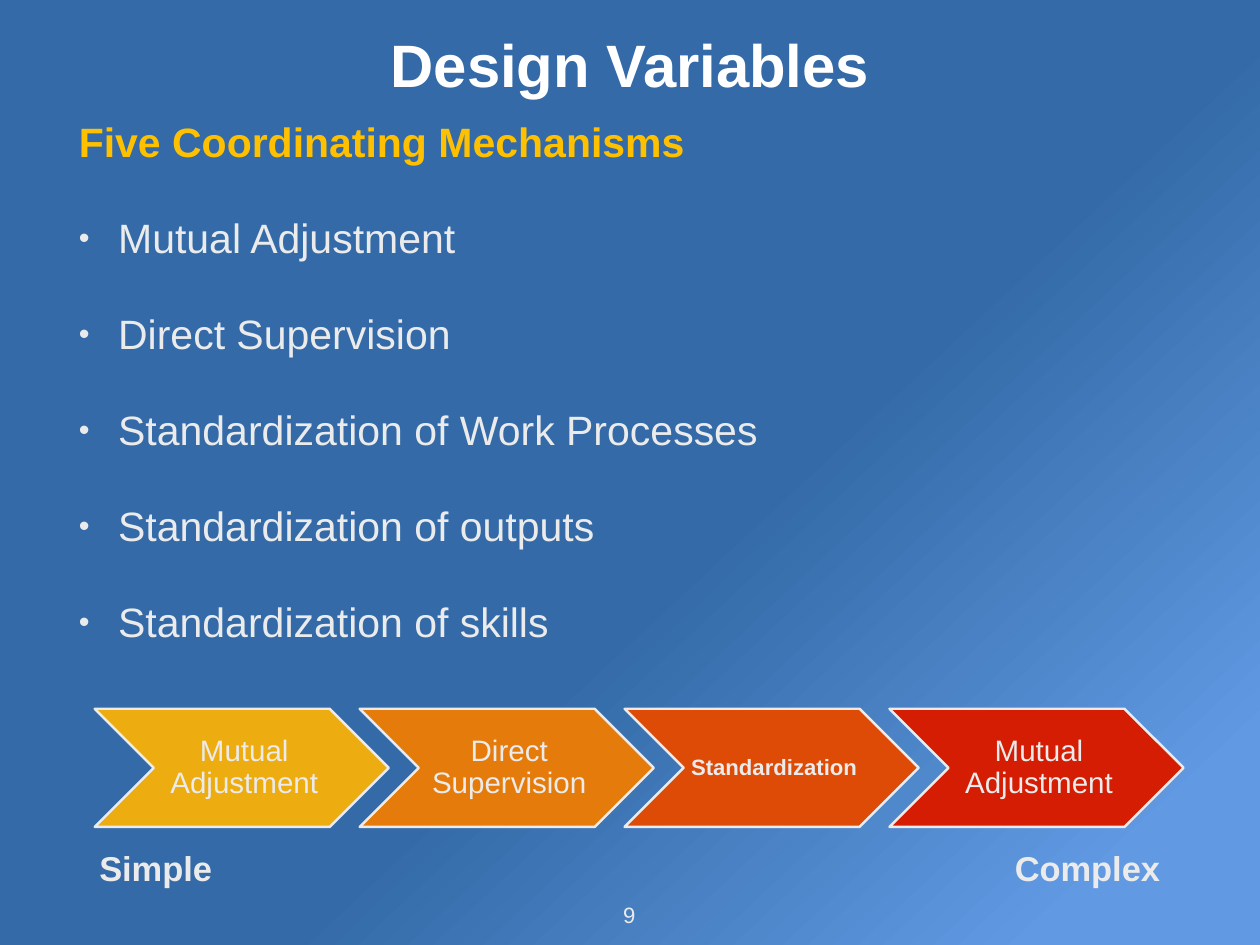
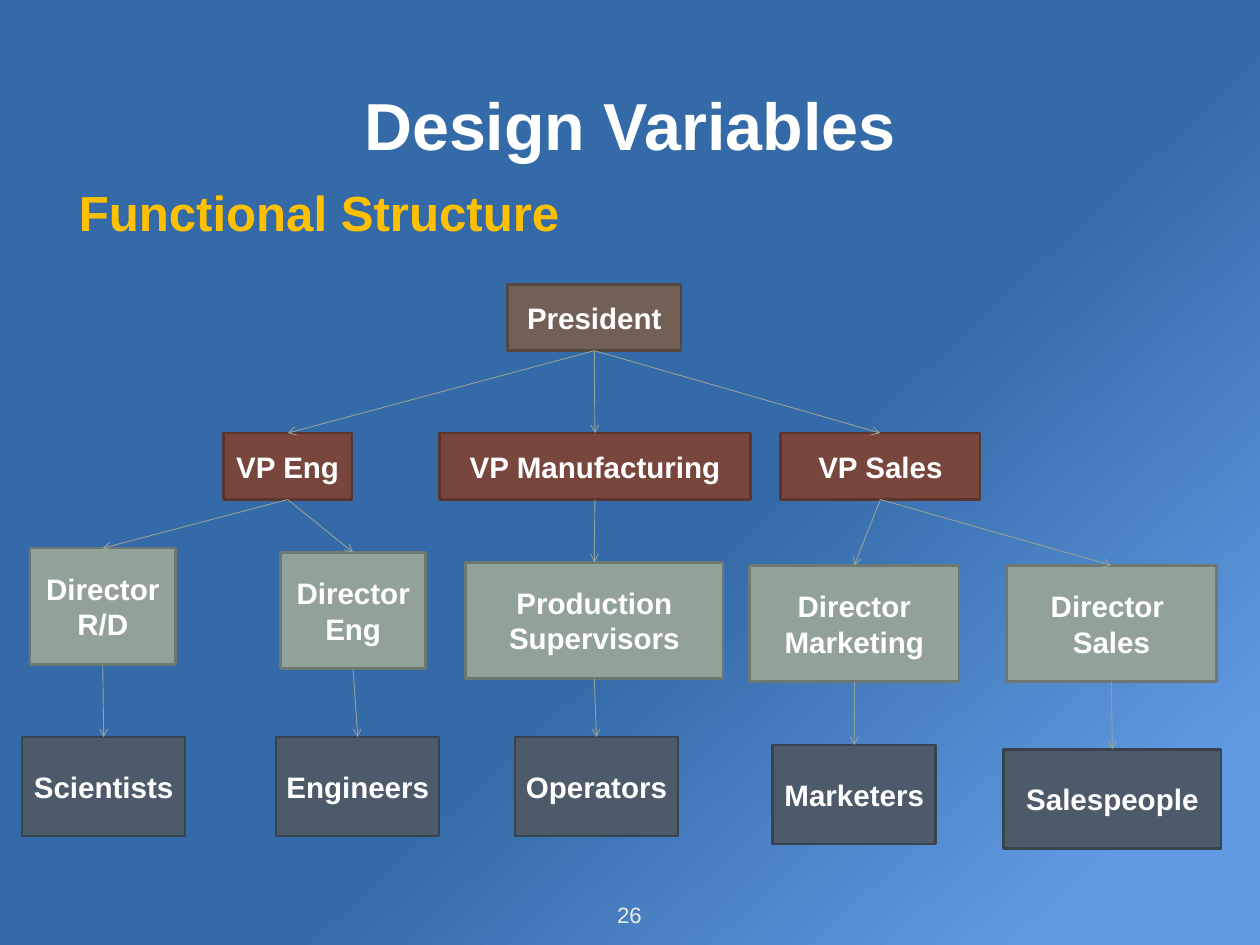
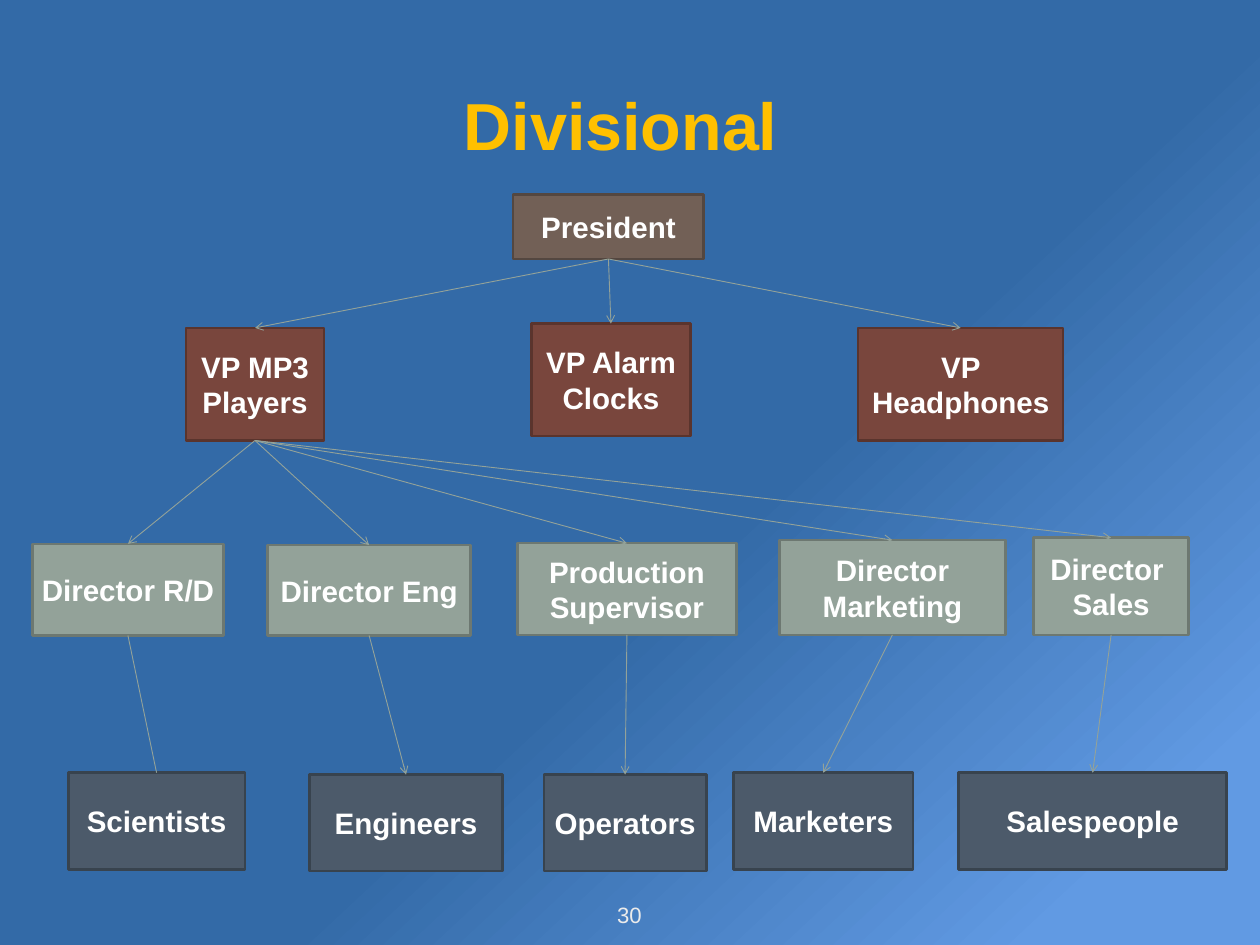
from dataclasses import dataclass

from lxml import etree
from pptx import Presentation
from pptx.dml.color import RGBColor
from pptx.enum.shapes import MSO_CONNECTOR, MSO_SHAPE
from pptx.enum.text import MSO_ANCHOR, MSO_AUTO_SIZE, PP_ALIGN
from pptx.oxml.ns import qn
from pptx.util import Pt

FONT = "Arial"
WHITE, PALE, GOLD = "FFFFFF", "EBEBEB", "FFC000"
DEEP_BLUE, LIGHT_BLUE = "336AA7", "619AE3"
LINK_COLOR = "93A299"
LEVEL_COLORS = [
    ("726056", "544740"),
    ("79463D", "5A342D"),
    ("93A299", "6D7871"),
    ("4C5A6A", "38434E"),
]
MARGIN, CONTENT_WIDTH = 60, 904
INSETS = (4, 4, 4, 4)
BULLET_INDENT = 32


@dataclass
class Step:
    text: str
    color: str
    size: float = 24
    bold: bool = False


@dataclass
class Box:
    """A box of an organisation chart; parent is an index into the level above."""
    text: str
    left: float
    top: float
    width: float
    height: float
    parent: int = 0
    arrowhead: bool = True


MECHANISMS = [
    "Mutual Adjustment",
    "Direct Supervision",
    "Standardization of Work Processes",
    "Standardization of outputs",
    "Standardization of skills",
]

STEPS = [
    Step("Mutual Adjustment", "EDAC0F"),
    Step("Direct Supervision", "E57B0B"),
    Step("Standardization", "DD4B07", 18, True),
    Step("Mutual Adjustment", "D41D03"),
]

FUNCTIONAL = [
    [Box("President", 412.5, 231, 141, 54)],
    [
        Box("VP Eng", 181.5, 352, 104.5, 54),
        Box("VP Manufacturing", 357, 352, 253, 54),
        Box("VP Sales", 634.5, 352, 162, 54),
    ],
    [
        Box("Director R/D", 24.5, 445.5, 118, 94.5, 0),
        Box("Director Eng", 228, 449, 118, 94.5, 0),
        Box("Production Supervisors", 378.5, 457, 209, 94.5, 1),
        Box("Director Marketing", 609, 459.5, 170.5, 94.5, 2),
        Box("Director \nSales", 818, 459.5, 170.5, 94.5, 2),
    ],
    [
        Box("Scientists", 18, 599, 132.5, 80.5, 0),
        Box("Engineers", 224.5, 599, 132.5, 80.5, 1),
        Box("Operators", 418.5, 599, 132.5, 80.5, 2),
        Box("Marketers", 628, 605.5, 132.5, 80.5, 3),
        Box("Salespeople", 815.5, 609, 177, 80.5, 4),
    ],
]

DIVISIONAL = [
    [Box("President", 417, 158, 155, 52.5)],
    [
        Box("VP MP3 Players", 151, 266.5, 112.5, 91.5),
        Box("VP Alarm Clocks", 432, 263, 129, 91.5),
        Box("VP Headphones", 697.5, 266.5, 166.5, 91.5),
    ],
    [
        Box("Director R/D", 26.5, 442, 155, 74.5),
        Box("Director Eng", 217.5, 443, 165, 73.5),
        Box("Production Supervisor", 420.5, 441.5, 178, 74.5),
        Box("Director Marketing", 633.5, 439, 183.5, 77),
        Box("Director \nSales", 840, 437, 126, 79),
    ],
    [
        Box("Scientists", 55.5, 628, 143.5, 78.5, 0, arrowhead=False),
        Box("Engineers", 251.5, 629.5, 157, 78.5, 1),
        Box("Operators", 442, 629.5, 132, 78.5, 2),
        Box("Marketers", 596, 628, 146, 78.5, 3),
        Box("Salespeople", 779, 628, 218, 78.5, 4),
    ],
]


def rgb(color: str) -> RGBColor:
    return RGBColor.from_string(color)


def set_frame(frame, insets=INSETS, wrap=True, anchor=MSO_ANCHOR.MIDDLE) -> None:
    frame.word_wrap = wrap
    frame.vertical_anchor = anchor
    frame.margin_left, frame.margin_top, frame.margin_right, frame.margin_bottom = map(Pt, insets)


def write(frame, text: str, *, size: float, color: str, bold=False, align=PP_ALIGN.CENTER,
          line_spacing=None, space_before: float = 0, bullet=False) -> None:
    """Add one paragraph per line of text, filling the empty first paragraph."""
    for line in text.split("\n"):
        first = frame.paragraphs[0]
        para = frame.add_paragraph() if first.runs else first
        para.alignment = align
        para.space_before = Pt(space_before)
        if line_spacing:
            para.line_spacing = line_spacing
        if bullet:
            add_bullet(para)
        span = para.add_run()
        span.text = line
        span.font.name, span.font.size, span.font.bold = FONT, Pt(size), bold
        span.font.color.rgb = rgb(color)


def add_bullet(para) -> None:
    properties = para._p.get_or_add_pPr()
    properties.set("marL", str(Pt(BULLET_INDENT)))
    properties.set("indent", str(-Pt(BULLET_INDENT)))
    etree.SubElement(properties, qn("a:buSzPct"), val="75000")
    etree.SubElement(properties, qn("a:buFont"), typeface=FONT)
    etree.SubElement(properties, qn("a:buChar"), char="•")


def add_text_box(page, left: float, top: float, width: float, height: float, **frame_format):
    frame = page.shapes.add_textbox(Pt(left), Pt(top), Pt(width), Pt(height)).text_frame
    set_frame(frame, **frame_format)
    return frame


def add_label(page, text: str, left: float, top: float, width: float, height: float,
              size: float, bold=False) -> None:
    """Add a one-line text box that grows with its text."""
    frame = add_text_box(page, left, top, width, height, wrap=False)
    frame.auto_size = MSO_AUTO_SIZE.SHAPE_TO_FIT_TEXT
    write(frame, text, size=size, color=PALE, bold=bold)


def add_filled_shape(page, kind, left: float, top: float, width: float, height: float,
                     fill: str, line: str, line_width: float):
    shape = page.shapes.add_shape(kind, Pt(left), Pt(top), Pt(width), Pt(height))
    shape.shadow.inherit = False
    shape.fill.solid()
    shape.fill.fore_color.rgb = rgb(fill)
    shape.line.color.rgb = rgb(line)
    shape.line.width = Pt(line_width)
    return shape


def add_link(page, parent, child, arrowhead: bool) -> None:
    """Join the bottom of the parent to the top of the child."""
    link = page.shapes.add_connector(MSO_CONNECTOR.STRAIGHT, Pt(0), Pt(0), Pt(0), Pt(0))
    link.begin_connect(parent, 2)
    link.end_connect(child, 0)
    link.line.color.rgb = rgb(LINK_COLOR)
    link.line.width = Pt(0.75)
    properties = link._element.spPr
    if arrowhead:
        etree.SubElement(properties.find(qn("a:ln")), qn("a:tailEnd"), type="arrow")
    etree.SubElement(properties, qn("a:effectLst"))


def add_org_chart(page, levels: list[list[Box]]) -> None:
    parents = []
    for boxes, (fill, line) in zip(levels, LEVEL_COLORS):
        shapes = []
        for box in boxes:
            shape = add_filled_shape(page, MSO_SHAPE.RECTANGLE, box.left, box.top,
                                     box.width, box.height, fill, line, 2.08)
            set_frame(shape.text_frame, insets=(5, 4, 5, 4))
            write(shape.text_frame, box.text, size=24, color=WHITE, bold=True)
            if parents:
                add_link(page, parents[box.parent], shape, box.arrowhead)
            shapes.append(shape)
        parents = shapes


def add_step_chain(page, steps: list[Step]) -> None:
    left, top, width, height, pitch = 77, 576, 239, 96, 215.3
    for index, step in enumerate(steps):
        chevron = add_filled_shape(page, MSO_SHAPE.CHEVRON, left + index * pitch, top,
                                   width, height, step.color, PALE, 2)
        set_frame(chevron.text_frame, insets=(7, 3, 3, 3), wrap=" " in step.text)
        write(chevron.text_frame, step.text, size=step.size, color=PALE,
              bold=step.bold, line_spacing=0.9)


def add_page(deck, title: str, number: int, *, title_height: float = 169,
             title_size: float = 54, title_color: str = WHITE):
    page = deck.slides.add_slide(deck.slide_layouts[6])
    frame = add_text_box(page, MARGIN, 16, CONTENT_WIDTH, title_height)
    write(frame, title, size=title_size, color=title_color, bold=True)
    add_label(page, str(number), 491.5, 729, 40, 29, 18)
    return page


def set_background(master) -> None:
    fill = master.background.fill
    fill.gradient()
    fill.gradient_angle = 313
    stops = [(0.57, DEEP_BLUE), (0.9, LIGHT_BLUE)]
    for stop, (position, color) in zip(fill.gradient_stops, stops):
        stop.position = position
        stop.color.rgb = rgb(color)


def build_mechanisms(deck) -> None:
    page = add_page(deck, "Design Variables", 9, title_height=71, title_size=48.6)
    body = add_text_box(page, MARGIN, 88, CONTENT_WIDTH, 449)
    body_format = dict(size=33.3, align=PP_ALIGN.LEFT, line_spacing=0.9, space_before=42)
    write(body, "Five Coordinating Mechanisms", color=GOLD, bold=True, **body_format)
    write(body, "\n".join(MECHANISMS), color=PALE, bullet=True, **body_format)
    add_step_chain(page, STEPS)
    add_label(page, "Simple", 76, 684, 101, 42, 28, bold=True)
    add_label(page, "Complex", 820, 684, 127.5, 42, 28, bold=True)


def build_functional(deck) -> None:
    page = add_page(deck, "Design Variables", 26)
    body = add_text_box(page, MARGIN, 144, CONTENT_WIDTH, 396, anchor=MSO_ANCHOR.TOP)
    write(body, "Functional Structure", size=40, color=GOLD, bold=True,
          align=PP_ALIGN.LEFT, space_before=42)
    add_org_chart(page, FUNCTIONAL)


def build_divisional(deck) -> None:
    page = add_page(deck, "Divisional ", 30, title_color=GOLD)
    add_org_chart(page, DIVISIONAL)


def main() -> None:
    deck = Presentation()
    deck.slide_width, deck.slide_height = Pt(1024), Pt(768)
    set_background(deck.slide_master)
    build_mechanisms(deck)
    build_functional(deck)
    build_divisional(deck)
    deck.save("out.pptx")


if __name__ == "__main__":
    main()
